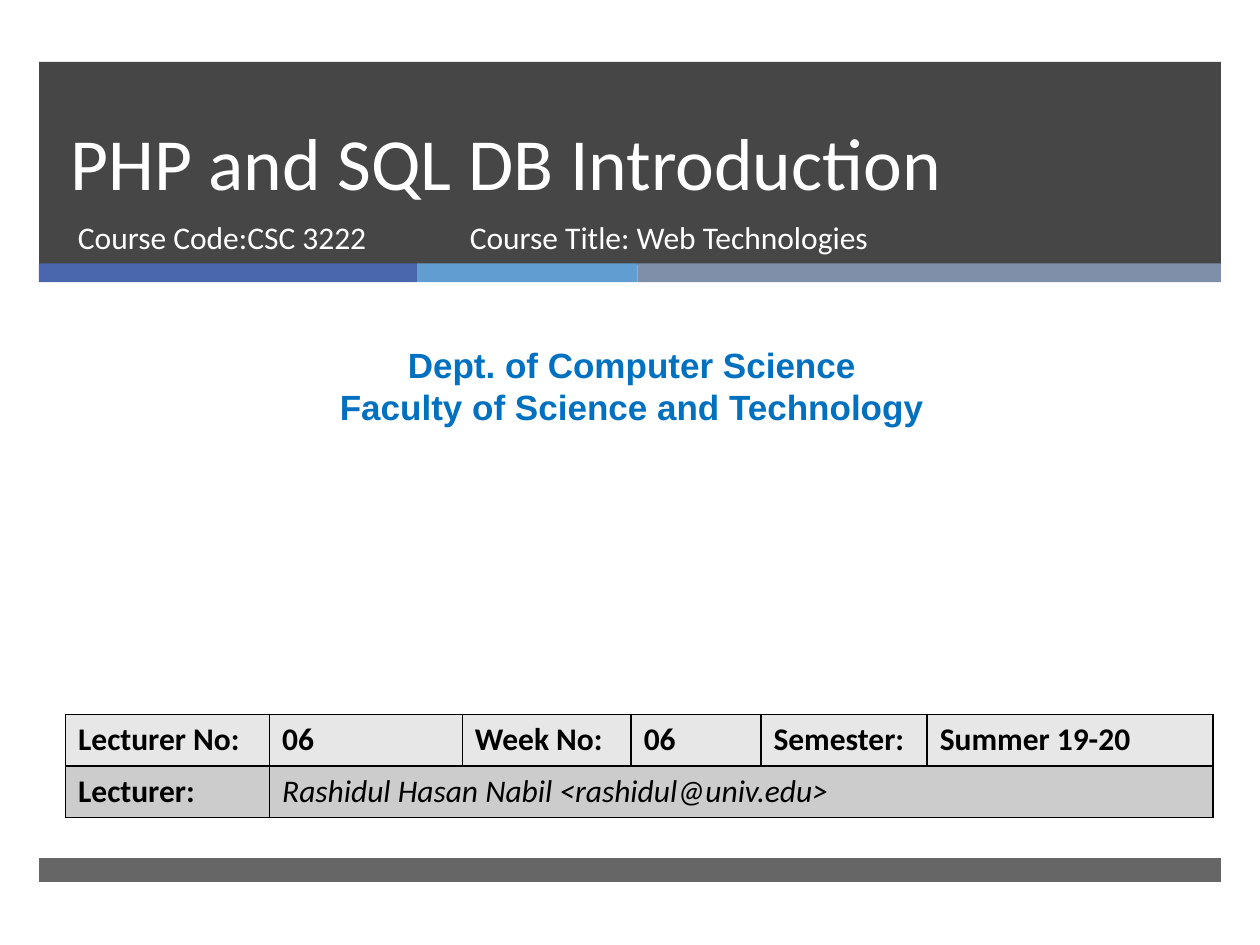
from lxml import etree
from pptx import Presentation
from pptx.dml.color import RGBColor
from pptx.enum.shapes import MSO_SHAPE
from pptx.enum.text import MSO_ANCHOR, MSO_AUTO_SIZE, PP_ALIGN
from pptx.oxml.ns import qn
from pptx.util import Inches, Pt

RECTANGLE = MSO_SHAPE.RECTANGLE
TOP, BOTTOM = MSO_ANCHOR.TOP, MSO_ANCHOR.BOTTOM
NO_AUTOFIT = MSO_AUTO_SIZE.NONE
LEFT, CENTER = PP_ALIGN.LEFT, PP_ALIGN.CENTER
TITLE_ONLY = 5


def color(value):
    return RGBColor.from_string(value)


class CourseSlide:
    font = "Calibri"
    dark, white, black, blue = "262626", "FFFFFF", "000000", "0070C0"
    edges = ("a:lnL", "a:lnR", "a:lnT", "a:lnB")

    def __init__(self, deck):
        self.slide = deck.slides.add_slide(deck.slide_layouts[TITLE_ONLY])
        self.shapes = self.slide.shapes

    def style(self, frame, size, ink, font=None, bold=False, italic=False, align=LEFT):
        for paragraph in frame.paragraphs:
            paragraph.alignment = align
            for run in paragraph.runs:
                run.font.name = font or self.font
                run.font.size = Pt(size)
                run.font.bold = bold
                run.font.italic = italic
                run.font.color.rgb = color(ink)

    def bar(self, left, top, width, height, fill, opacity=100):
        bar = self.shapes.add_shape(
            RECTANGLE, Inches(left), Inches(top), Inches(width), Inches(height))
        bar.shadow.inherit = False
        bar.fill.solid()
        bar.fill.fore_color.rgb = color(fill)
        bar.line.fill.background()
        if opacity < 100:
            tint = bar.fill._xPr.find(qn("a:solidFill"))[0]
            etree.SubElement(tint, qn("a:alpha"), val=str(opacity * 1000))

    def title(self, text, left, top, width, height):
        title = self.shapes.title
        title.left, title.top = Inches(left), Inches(top)
        title.width, title.height = Inches(width), Inches(height)
        frame = title.text_frame
        frame.text = text
        frame.auto_size = NO_AUTOFIT
        frame.vertical_anchor = BOTTOM
        frame.paragraphs[0].line_spacing = Pt(46)
        self.style(frame, 42, self.white)
        title.element.getparent().append(title.element)

    def text(self, text, left, top, width, height, size, ink, **look):
        box = self.shapes.add_textbox(
            Inches(left), Inches(top), Inches(width), Inches(height))
        frame = box.text_frame
        frame.word_wrap = True
        frame.vertical_anchor = TOP
        frame.text = text
        self.style(frame, size, ink, **look)

    def cell(self, cell, text, fill, bold=True):
        cell.text = text
        self.style(cell.text_frame, 18, self.black, bold=bold, italic=not bold)
        properties = cell._tc.get_or_add_tcPr()
        for edge in self.edges:
            border = etree.SubElement(properties, qn(edge), w=str(Pt(1)))
            paint = etree.SubElement(border, qn("a:solidFill"))
            etree.SubElement(paint, qn("a:srgbClr"), val=self.black)
        cell.fill.solid()
        cell.fill.fore_color.rgb = color(fill)

    def table(self, left, top, widths, row_height, rows, fills):
        table = self.shapes.add_table(
            len(rows), len(widths), Inches(left), Inches(top),
            Inches(sum(widths)), Inches(row_height * len(rows))).table
        for column, width in zip(table.columns, widths):
            column.width = Inches(width)
        for row in table.rows:
            row.height = Inches(row_height)
        for r, (texts, fill) in enumerate(zip(rows, fills)):
            for c in range(len(widths)):
                text = texts[c] if c < len(texts) else ""
                self.cell(table.cell(r, c), text, fill, bold=r == 0 or c == 0)
            if len(texts) < len(widths):
                table.cell(r, len(texts) - 1).merge(table.cell(r, len(widths) - 1))


deck = Presentation()
deck.slide_width, deck.slide_height = Inches(10), Inches(7.5)
cover = CourseSlide(deck)

margin, band_width = 0.31, 9.38
cover.bar(margin, 0.49, band_width, 1.61, cover.dark, opacity=85)
stripe_left = margin
for stripe_width, stripe_fill in ((3, "4A66AC"), (1.75, "629DD1"), (4.63, "7F8FA9")):
    cover.bar(stripe_left, 2.09, stripe_width, 0.15, stripe_fill)
    stripe_left += stripe_width
cover.bar(margin, 6.81, band_width, 0.19, cover.dark, opacity=70)

cover.title("PHP and SQL DB Introduction", 0.46, 0.49, 8.54, 1.19)
cover.text("Course Code:CSC 3222", 0.52, 1.68, 3.05, 0.53, 18, cover.white)
cover.text("Course Title: Web Technologies", 3.63, 1.68, 4.55, 0.53, 18, cover.white)
cover.text("Dept. of Computer Science\nFaculty of Science and Technology",
           0.08, 2.68, 9.87, 0.77, 20, cover.blue, font="Arial", bold=True, align=CENTER)

lecture_details = [
    ["Lecturer No:", "06", "Week No:", "06", "Semester:", "Summer 19-20"],
    ["Lecturer:", "Rashidul Hasan Nabil <rashidul@univ.edu>"],
]
cover.table(0.52, 5.67, [1.62, 1.53, 1.34, 1.03, 1.32, 2.27], 0.41,
            lecture_details, ["E7E7E7", "CCCCCC"])

deck.save("out.pptx")
